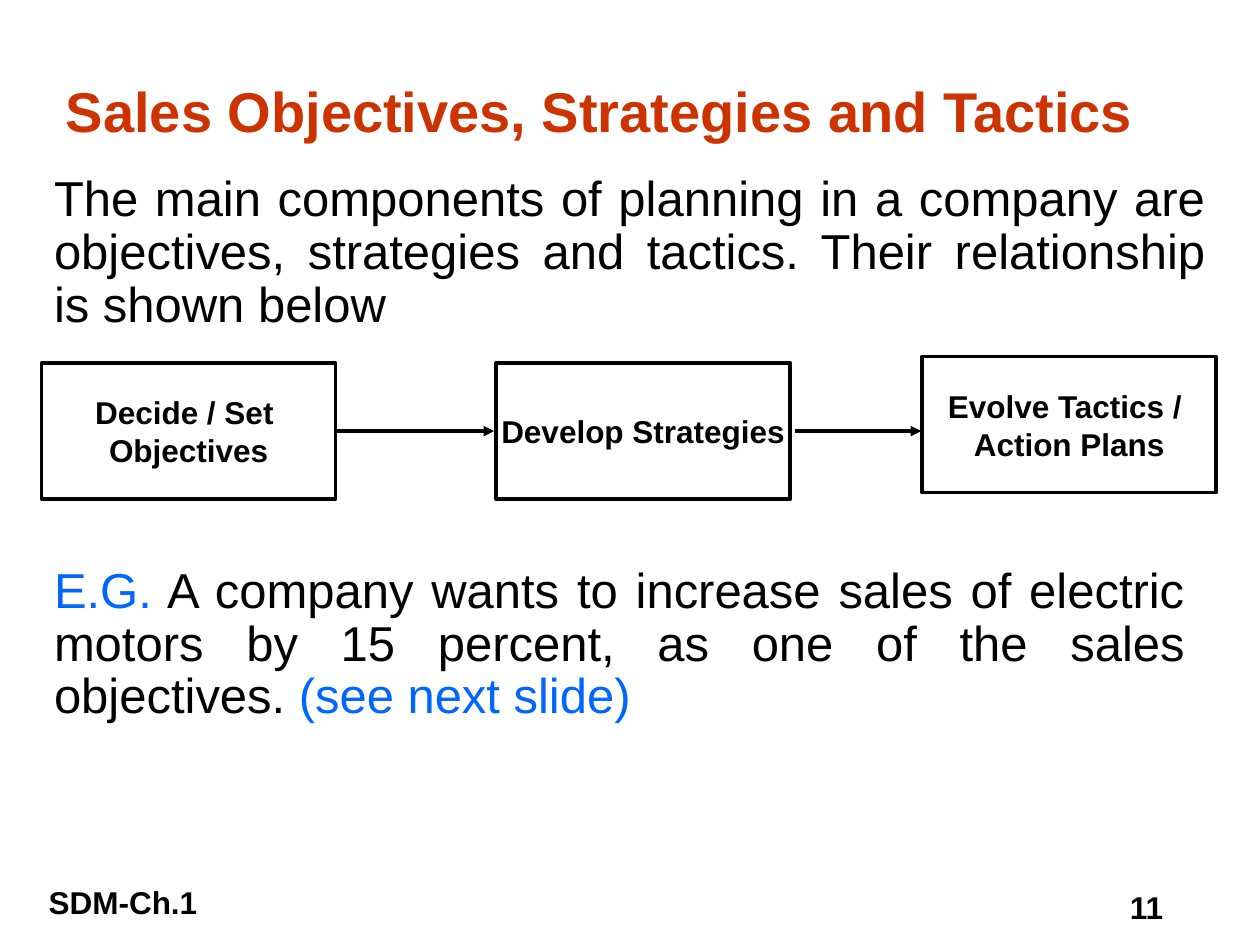
from lxml import etree
from pptx import Presentation
from pptx.dml.color import RGBColor
from pptx.enum.shapes import MSO_CONNECTOR, MSO_SHAPE
from pptx.enum.text import MSO_ANCHOR, PP_ALIGN
from pptx.oxml.ns import qn
from pptx.util import Cm, Pt

LEFT, CENTER, JUSTIFY = PP_ALIGN.LEFT, PP_ALIGN.CENTER, PP_ALIGN.JUSTIFY
TOP, MIDDLE = MSO_ANCHOR.TOP, MSO_ANCHOR.MIDDLE
BLACK, RED, BLUE = "000000", "CC3300", "0066FF"

# Formats
TITLE = {"size": Pt(32), "bold": True}
BODY = {"size": Pt(28), "bold": False}
LABEL = {"size": Pt(18), "bold": True}
BODY_SPACING = 0.9

# Text boxes: place in cm, anchor, alignment, line spacing, format, coloured spans
TEXTS = [
    ((1.07, 0.74, 22.05, 2.97), MIDDLE, CENTER, 1, TITLE,
     [("Sales Objectives, Strategies and Tactics", RED)]),
    ((0.84, 3.38, 23.7, 3.81), TOP, JUSTIFY, BODY_SPACING, BODY,
     [("The main components of planning in a company are objectives, "
       "strategies and tactics. Their relationship is shown below", BLACK)]),
    ((0.84, 11.28, 23.29, 5.66), TOP, JUSTIFY, BODY_SPACING, BODY,
     [("E.G.", BLUE),
      (" A company wants to increase sales of electric motors by 15 percent, "
       "as one of the sales objectives. ", BLACK),
      ("(see next slide)", BLUE)]),
    ((0.36, 17.68, 4.24, 1.02), TOP, CENTER, 1, LABEL, [("SDM-Ch.1", BLACK)]),
    ((22.53, 17.78, 2.5, 1.02), TOP, LEFT, 1, LABEL, [("11", BLACK)]),
]

# Planning steps: left, top, lines of the label
STEP_WIDTH, STEP_HEIGHT = 5.93, 2.74
STEPS = [
    (0.84, 7.32, ["Decide / Set ", "Objectives"]),
    (10.0, 7.32, ["Develop Strategies"]),
    (18.59, 7.19, ["Evolve Tactics / ", "Action Plans"]),
]
ARROW_Y = 8.69
ARROWS = [(6.78, 9.96), (16.03, 18.57)]


def color(value):
    return RGBColor.from_string(value)


def add_spans(para, spans, style):
    for text, hue in spans:
        span = para.add_run()
        span.text = text
        for name, value in {"name": "Arial", **style}.items():
            setattr(span.font, name, value)
        span.font.color.rgb = color(hue)


def draw_line(line):
    line.color.rgb = color(BLACK)
    line.width = Pt(2)


def add_text(page, place, anchor, align, spacing, style, spans):
    frame = page.shapes.add_textbox(*map(Cm, place)).text_frame
    frame.word_wrap = True
    frame.vertical_anchor = anchor
    para = frame.paragraphs[0]
    para.alignment = align
    para.line_spacing = spacing
    add_spans(para, spans, style)


def add_step(page, left, top, lines):
    box = page.shapes.add_shape(
        MSO_SHAPE.RECTANGLE, *map(Cm, (left, top, STEP_WIDTH, STEP_HEIGHT)))
    box.shadow.inherit = False
    box.fill.background()
    draw_line(box.line)
    frame = box.text_frame
    frame.word_wrap = False
    frame.vertical_anchor = MIDDLE
    for index, text in enumerate(lines):
        para = frame.add_paragraph() if index else frame.paragraphs[0]
        para.alignment = CENTER
        add_spans(para, [(text, BLACK)], LABEL)


def add_arrow(page, start, end):
    arrow = page.shapes.add_connector(
        MSO_CONNECTOR.STRAIGHT, *map(Cm, (start, ARROW_Y, end, ARROW_Y)))
    draw_line(arrow.line)
    properties = arrow.element.spPr
    etree.SubElement(properties.find(qn("a:ln")), qn("a:tailEnd"), type="triangle")
    etree.SubElement(properties, qn("a:effectLst"))


def main():
    deck = Presentation()
    deck.slide_width, deck.slide_height = Cm(25.4), Cm(19.05)
    page = deck.slides.add_slide(deck.slide_layouts[6])
    for text in TEXTS:
        add_text(page, *text)
    for step in STEPS:
        add_step(page, *step)
    for arrow in ARROWS:
        add_arrow(page, *arrow)
    deck.save("out.pptx")


if __name__ == "__main__":
    main()
